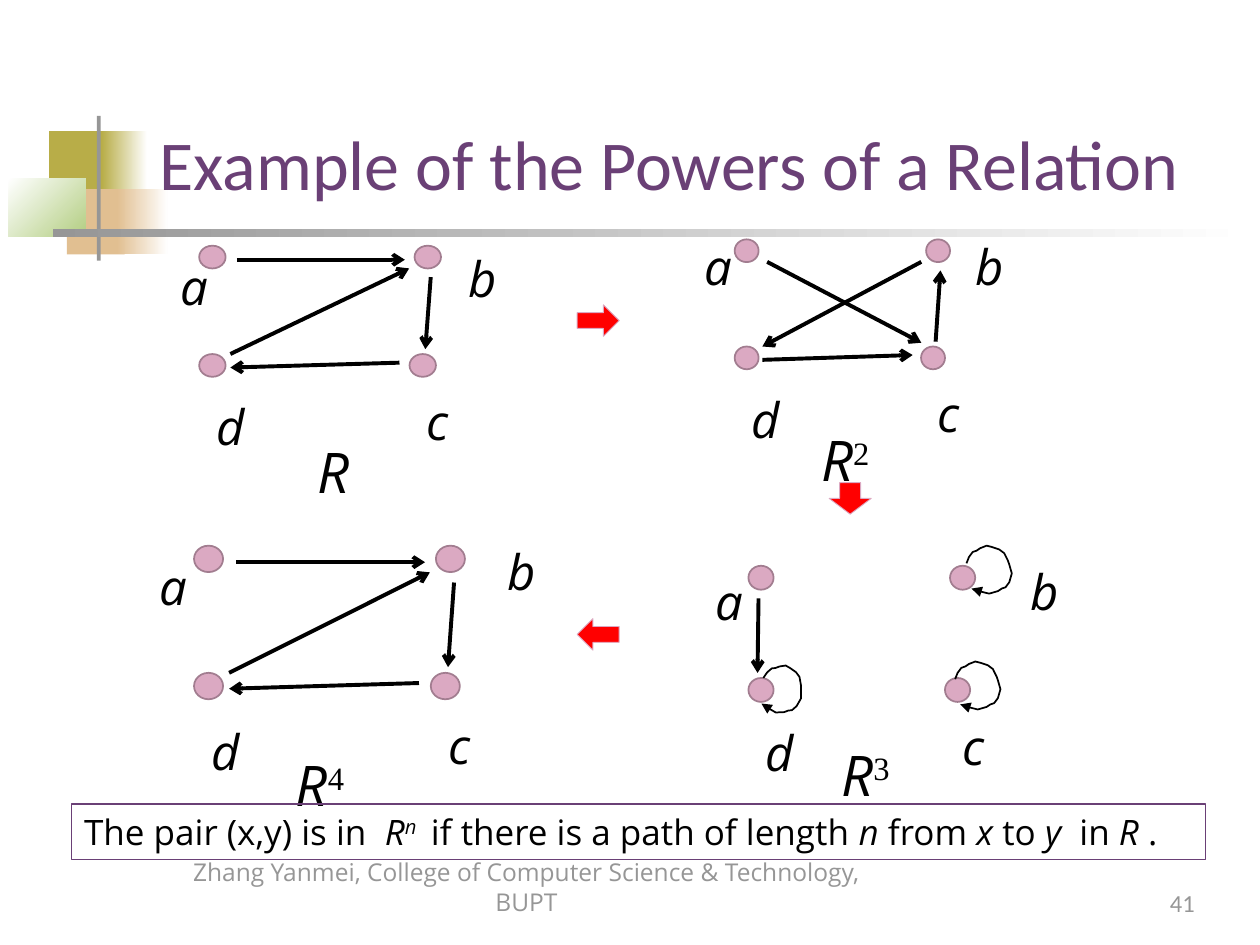
"""Build a slide on the powers of a relation, shown as four directed graphs."""
from dataclasses import dataclass

from lxml import etree
from pptx import Presentation
from pptx import util as u
from pptx.dml import color
from pptx.enum import shapes, text
from pptx.oxml import ns

Pt = u.Pt
KIND = shapes.MSO_SHAPE


@dataclass(frozen=True)
class Theme:
    """Colours, fonts and type sizes of the slide."""
    title: str = "6A4076"
    ink: str = "000000"
    node: str = "DBA9C2"
    node_line: str = "A27D90"
    arrow: str = "FF0000"
    olive: str = "B8AD48"
    tan: str = "E1BF91"
    green: str = "B3CE82"
    grey: str = "969696"
    white: str = "FFFFFF"
    head_font: str = "Calibri"
    body_font: str = "Open Sans"
    power_font: str = "Times New Roman"
    title_size: float = 40
    name_size: float = 32
    label_size: float = 28
    caption_size: float = 20
    footer_size: float = 14


THEME = Theme()

EDGES = {
    "ab": ((0.175, 0.13), (0.955, 0.13)),
    "ac": ((0.17, 0.21), (0.975, 0.965)),
    "ad": ((0.05, 0.29), (0.045, 0.955)),
    "bc": ((1.075, 0.29), (1.05, 0.955)),
    "cd": ((0.93, 1.08), (0.145, 1.125)),
    "db": ((0.145, 1), (0.975, 0.21)),
}

LOOP = [(0, 14), (2, 9), (5, 5), (8, 4), (11, 2), (16, 0), (20, 1), (26, 3), (30, 6),
        (33, 12), (34, 15), (36, 22), (34, 29), (31, 33), (28, 34), (25, 36), (18, 38),
        (10, 36), (4, 34)]

GRAPHS = [
    dict(box=(113.8, 140.4, 123.1, 61.9), node=(15.1, 13), a=(-18, 2.9), b=(23.8, -2.2),
         edges=["ab", "db", "bc", "cd"], power="", name=(174.2, 246.2, 15.1)),
    dict(box=(419.8, 136.8, 109.4, 61.2), node=(13.7, 13), a=(-23.8, -5), b=(21.6, -5),
         edges=["bd", "cb", "dc", "ac"], power="2", name=(462.2, 239.8, 51.8)),
    dict(box=(427.7, 323.3, 115.2, 64.1), node=(14.4, 13.7), a=(-25.9, 0), b=(38.9, -5.8),
         edges=["ad"], power="3", name=(473.8, 419.8, 59),
         loops={"b": (9.4, -11.5, 25.9, 0), "c": (5.8, -9.4, 25.9, 0),
                "d": (7.2, -7.2, 23.8, 14.7)}),
    dict(box=(110.9, 311.8, 138.2, 72.7), node=(16.6, 15.1), a=(-26.6, 2.9), b=(33.8, -5.8),
         edges=["ab", "db", "bc", "cd"], power="4", name=(162, 425.5, 80.6)),
]


def rgb(value):
    """Return a colour from its hex digits."""
    return color.RGBColor.from_string(value)


def set_line(line, tint, width, head=None):
    """Colour a line and give it an optional arrowhead at its end."""
    line.color.rgb = rgb(tint)
    line.width = Pt(width)
    if head:
        etree.SubElement(line._get_or_add_ln(), ns.qn("a:tailEnd"), type=head)


def add_box(slide, kind, box, fill=None, line=None, end=None, angle=0):
    """Add a preset shape with a plain or two-colour fill."""
    shape = slide.shapes.add_shape(kind, *map(Pt, box))
    shape.shadow.inherit = False
    if end:
        shape.fill.gradient()
        shape.fill.gradient_angle = angle
        for stop, tint in zip(shape.fill.gradient_stops, (fill, end)):
            stop.color.rgb = rgb(tint)
    elif fill:
        shape.fill.solid()
        shape.fill.fore_color.rgb = rgb(fill)
    else:
        shape.fill.background()
    if line:
        set_line(shape.line, *line)
    else:
        shape.line.fill.background()
    return shape


def write_runs(shape, runs, size, font, tint, align="LEFT", anchor="TOP"):
    """Write runs of text, style and optional font, where i is italic and ^ is raised."""
    frame = shape.text_frame
    frame.word_wrap = True
    frame.vertical_anchor = text.MSO_ANCHOR[anchor]
    paragraph = frame.paragraphs[0]
    paragraph.alignment = text.PP_ALIGN[align]
    for words, style, *own_font in runs:
        run = paragraph.add_run()
        run.text = words
        run.font.size = Pt(size)
        run.font.name = own_font[0] if own_font else font
        run.font.italic = "i" in style
        run.font.color.rgb = rgb(tint)
        if "^" in style:
            run._r.get_or_add_rPr().set("baseline", "30000")


def add_text(slide, box, runs, size, font=THEME.body_font, tint=THEME.ink, **place):
    """Add a text box holding one paragraph."""
    write_runs(slide.shapes.add_textbox(*map(Pt, box)), runs, size, font, tint, **place)


def add_edge(slide, start, end):
    """Add a straight arrow between two points."""
    edge = slide.shapes.add_connector(shapes.MSO_CONNECTOR.STRAIGHT, *map(Pt, start + end))
    set_line(edge.line, THEME.ink, 2.25, "arrow")
    etree.SubElement(edge._element.spPr, ns.qn("a:effectLst"))


def add_loop(slide, left, top, width, turn):
    """Add a curved arrow from a node back to itself."""
    scale = (Pt(width) / 36, Pt(27.4) / 38)
    builder = slide.shapes.build_freeform(*LOOP[0], scale=scale)
    builder.add_line_segments(LOOP[1:], close=False)
    loop = builder.convert_to_shape(Pt(left), Pt(top))
    loop.rotation = turn
    loop.shadow.inherit = False
    loop.fill.background()
    set_line(loop.line, THEME.ink, 1, "triangle")


def add_graph(slide, box, node, a, b, edges, power, name, loops=None):
    """Add the nodes, labels, edges and name of one relation."""
    left, top, width, height = box
    node_width, node_height = node
    corners = {"a": (left, top), "b": (left + width, top),
               "c": (left + width - 2.9, top + height), "d": (left, top + height)}
    offsets = {"a": a, "b": b, "c": (2.9, 1.37 * node_height), "d": (2.9, 1.6 * node_height)}
    for letter, (x, y) in corners.items():
        add_box(slide, KIND.OVAL, (x, y, *node), THEME.node, (THEME.node_line, 1))
        dx, dy = offsets[letter]
        add_text(slide, (x + dx, y + dy, node_width, 1.35 * node_height),
                 [(letter, "i")], THEME.label_size)
    for edge in edges:
        ends = EDGES.get(edge) or EDGES[edge[::-1]][::-1]
        add_edge(slide, *[(left + x * width, top + y * height) for x, y in ends])
    for letter, (dx, dy, loop_width, turn) in (loops or {}).items():
        x, y = corners[letter]
        add_loop(slide, x + dx, y + dy, loop_width, turn)
    runs = [("R", "i")] + ([(power, "^", THEME.power_font)] if power else [])
    add_text(slide, (*name, 46), runs, THEME.name_size)


def add_header(slide, box):
    """Add the coloured squares, the crossing bars and the title."""
    left, top, width, height = box
    parts = [((28, 74.9, 34.6, 37.4), THEME.olive, None, 0),
             ((58.3, 74.9, 25.9, 37.4), THEME.olive, THEME.white, 0),
             ((38.2, 108, 33.1, 37.4), THEME.tan, None, 0),
             ((67, 108, 28.8, 37.4), THEME.tan, THEME.white, 0),
             ((5, 102.2, 43.9, 33.1), THEME.white, THEME.green, 315),
             ((55.4, 66.2, 2.2, 82.8), THEME.grey, None, 0),
             ((30.2, 131, 684.7, 4.3), THEME.grey, THEME.white, 0)]
    for (x, y, *size), fill, end, angle in parts:
        add_box(slide, KIND.RECTANGLE, (left + x, top + y, *size), fill, end=end, angle=angle)
    add_text(slide, (left + 84.2, top + 30.2, width - 115.2, height - 60),
             [("Example of the Powers of a Relation", "")], THEME.title_size,
             THEME.head_font, THEME.title, anchor="BOTTOM")


def add_caption(slide, box):
    """Add the framed statement about paths."""
    frame = add_box(slide, KIND.RECTANGLE, box, line=(THEME.title, 0.75))
    runs = [("The pair (x,y) is in  ", ""), ("R", "i"), ("n ", "i^"),
            (" if there is a path of length ", ""), ("n", "i"), (" from ", ""), ("x", "i"),
            (" to ", ""), ("y", "i"), ("  in ", ""), ("R ", "i"), (".", "")]
    write_runs(frame, runs, THEME.caption_size, THEME.body_font, THEME.ink)


def add_footer(slide, box):
    """Add the author line and the slide number."""
    left, top, width, height = box
    add_text(slide, (left, top, 419, height),
             [("Zhang Yanmei, College of Computer Science & Technology, BUPT", "")],
             THEME.footer_size, tint=THEME.grey, align="CENTER", anchor="BOTTOM")
    add_text(slide, (left + width - 149.8, top + 0.7, 149.8, height), [("41", "")],
             THEME.footer_size, THEME.head_font, THEME.grey, align="RIGHT", anchor="BOTTOM")


def main():
    """Build and save the slide."""
    presentation = Presentation()
    presentation.slide_width, presentation.slide_height = Pt(720), Pt(540)
    slide = presentation.slides.add_slide(presentation.slide_layouts[6])
    add_header(slide, (0, 0, 720, 150))
    for graph in GRAPHS:
        add_graph(slide, **graph)
    for kind, x, y, turn in [(KIND.RIGHT_ARROW, 329.8, 174.2, 0),
                             (KIND.DOWN_ARROW, 473.8, 275.8, 0),
                             (KIND.RIGHT_ARROW, 329.8, 353.5, 180)]:
        step = add_box(slide, kind, (x, y, 24, 18), THEME.arrow, (THEME.node, 0.5))
        step.rotation = turn
    add_caption(slide, (41, 459.4, 648, 31.7))
    add_footer(slide, (91.4, 491, 598.4, 36))
    presentation.save("out.pptx")


if __name__ == "__main__":
    main()
